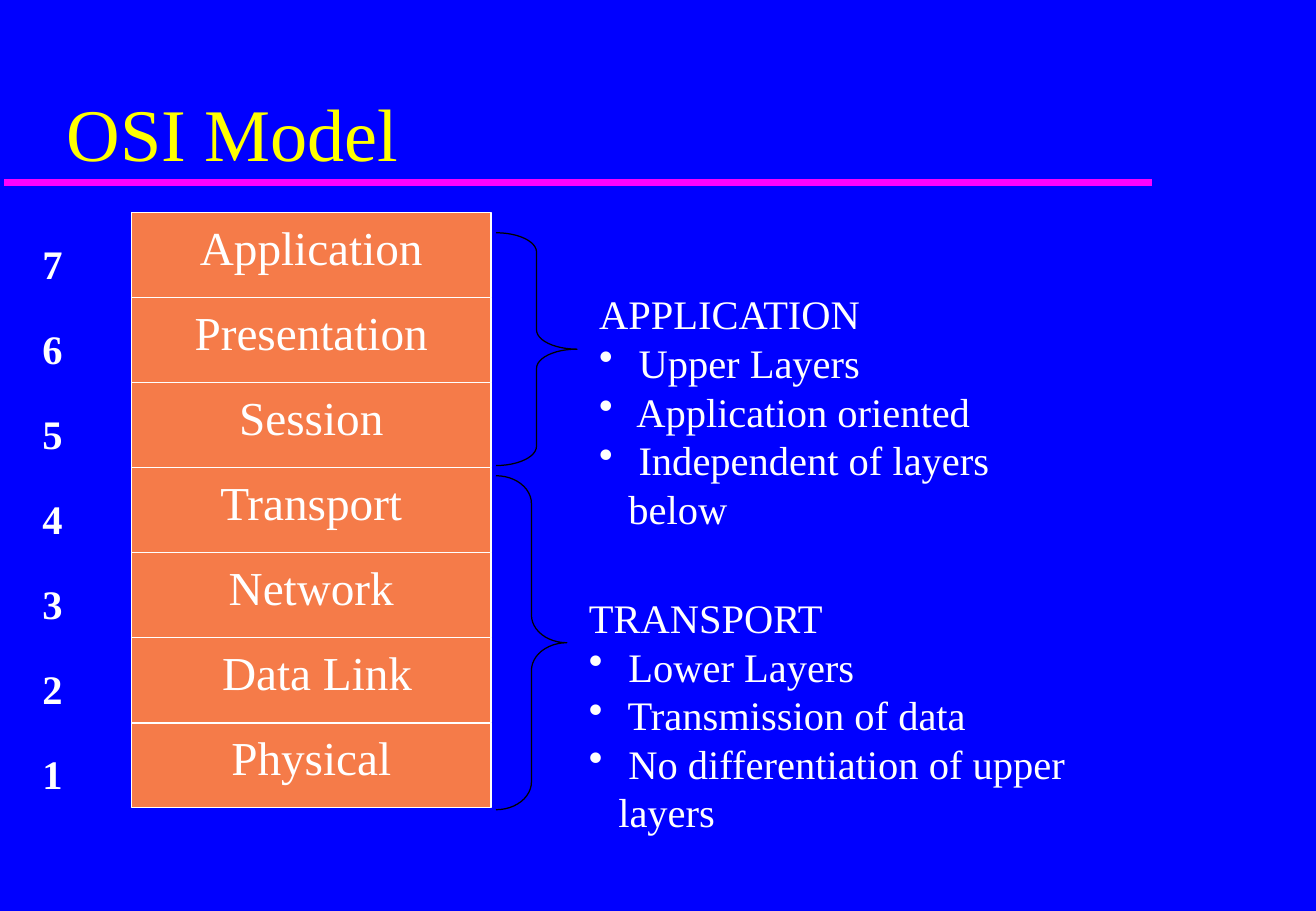
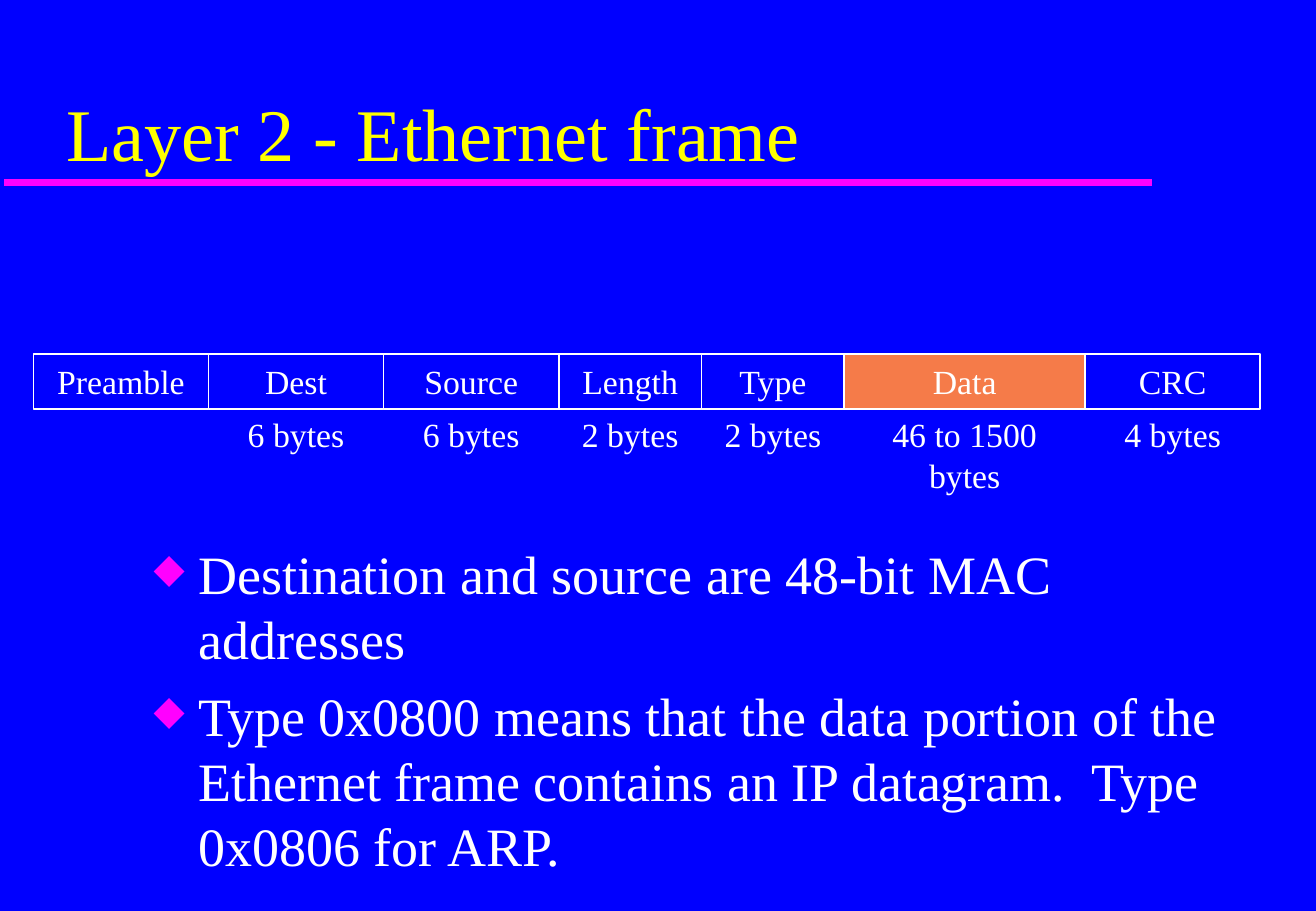
from dataclasses import dataclass
from itertools import accumulate

from lxml import etree
from pptx import Presentation, util as u
from pptx.dml.color import RGBColor
from pptx.enum import shapes, text
from pptx.oxml import ns

PX = 7620  # 120 px to the inch
FONT = "Times New Roman"
BLUE, WHITE, YELLOW = "0000FF", "FFFFFF", "FFFF00"
MAGENTA, ORANGE, BLACK = "FF00FF", "F57B49", "000000"
LEFT, CENTER = text.PP_ALIGN.LEFT, text.PP_ALIGN.CENTER


@dataclass(frozen=True)
class Box:
    left: int
    top: int
    width: int
    height: int

    def emu(self) -> list[int]:
        return [v * PX for v in (self.left, self.top, self.width, self.height)]


@dataclass(frozen=True)
class Style:
    size: int
    color: str = WHITE
    bold: bool = False
    align: text.PP_ALIGN = LEFT
    anchor: text.MSO_ANCHOR = text.MSO_ANCHOR.TOP


@dataclass(frozen=True)
class Bullet:
    char: str
    color: str
    percent: int
    indent: int
    before: float = 0


@dataclass(frozen=True)
class LayerGroup:
    brace: Box
    notes: Box
    heading: str
    points: tuple[str, ...]


@dataclass(frozen=True)
class Field:
    name: str
    width: int
    size: str = ""
    fill: str | None = None


TITLE = Style(44, YELLOW, anchor=text.MSO_ANCHOR.BOTTOM)
LAYER = Style(28, align=CENTER)
NUMBER = Style(24, bold=True)
NOTES = Style(24)
FIELD = Style(20, align=CENTER)
BODY = Style(32)

DOT = Bullet("•", WHITE, 100, 29)
DIAMOND = Bullet("◆", MAGENTA, 75, 44, 7.7)

LAYERS = ("Application", "Presentation", "Session", "Transport",
          "Network", " Data Link", "Physical")
LAYER_STEP = 84
GROUPS = (
    LayerGroup(Box(490, 230, 80, 230), Box(580, 280, 502, 204), "APPLICATION",
               (" Upper Layers", " Application oriented",
                " Independent of layers below")),
    LayerGroup(Box(490, 470, 70, 330), Box(570, 580, 586, 204), "TRANSPORT",
               (" Lower Layers", " Transmission of data",
                " No differentiation of upper layers")),
)
FIELDS = (
    Field("Preamble", 173),
    Field("Dest", 173, "6 bytes"),
    Field("Source", 173, "6 bytes"),
    Field("Length", 141, "2 bytes"),
    Field("Type", 141, "2 bytes"),
    Field("Data", 238, "46 to 1500 bytes", ORANGE),
    Field("CRC", 173, "4 bytes"),
)
FIELDS_LEFT = 33
FRAME_POINTS = (
    "Destination and source are 48-bit MAC addresses",
    "Type 0x0800 means that the data portion of the Ethernet frame contains "
    "an IP datagram.  Type 0x0806 for ARP.",
)


def rgb(color: str) -> RGBColor:
    return RGBColor.from_string(color)


def set_values(target, values: dict) -> None:
    for name, value in values.items():
        setattr(target, name, value)


def add_bullet(para, bullet: Bullet) -> None:
    para.space_before = u.Pt(bullet.before)
    props = para._p.get_or_add_pPr()
    props.set("marL", str(bullet.indent * PX))
    props.set("indent", str(-bullet.indent * PX))
    color = etree.SubElement(props, ns.qn("a:buClr"))
    etree.SubElement(color, ns.qn("a:srgbClr"), val=bullet.color)
    etree.SubElement(props, ns.qn("a:buSzPct"), val=str(bullet.percent * 1000))
    etree.SubElement(props, ns.qn("a:buChar"), char=bullet.char)


def write(shape, style: Style, lines: tuple[str, ...],
          bullet: Bullet | None = None, heading: str = "") -> None:
    """Fill a shape with an optional plain heading and the lines below it."""
    frame = shape.text_frame
    set_values(frame, {"word_wrap": True, "vertical_anchor": style.anchor})
    texts = ((heading,) if heading else ()) + lines
    for index, content in enumerate(texts):
        para = frame.add_paragraph() if index else frame.paragraphs[0]
        para.alignment = style.align
        if bullet and not (heading and index == 0):
            add_bullet(para, bullet)
        span = para.add_run()
        span.text = content
        set_values(span.font, {"name": FONT, "size": u.Pt(style.size),
                               "bold": style.bold})
        span.font.color.rgb = rgb(style.color)


def add_text(page, box: Box, style: Style, *lines: str,
             bullet: Bullet | None = None, heading: str = "") -> None:
    write(page.shapes.add_textbox(*box.emu()), style, lines, bullet, heading)


def add_outline(page, kind: shapes.MSO_SHAPE, box: Box, line: str,
                points: float, fill: str | None = None):
    shape = page.shapes.add_shape(kind, *box.emu())
    shape.shadow.inherit = False
    if fill:
        shape.fill.solid()
        shape.fill.fore_color.rgb = rgb(fill)
    else:
        shape.fill.background()
    shape.line.color.rgb = rgb(line)
    shape.line.width = u.Pt(points)
    return shape


def add_cell(page, box: Box, label: str, style: Style,
             fill: str | None) -> None:
    cell = add_outline(page, shapes.MSO_SHAPE.RECTANGLE, box, WHITE, 1, fill)
    write(cell, style, (label,))


def add_brace(page, box: Box) -> None:
    brace = add_outline(page, shapes.MSO_SHAPE.RIGHT_BRACE, box, BLACK, 0.75)
    brace.adjustments[0] = box.height / 12 / box.width


def add_page(deck, title: str):
    """Add a blank page with the shared rule and title."""
    page = deck.slides.add_slide(deck.slide_layouts[6])
    rule = page.shapes.add_connector(
        shapes.MSO_CONNECTOR.STRAIGHT, *(v * PX for v in (4, 180, 1138, 180)))
    rule.line.color.rgb = rgb(MAGENTA)
    rule.line.width = u.Pt(4)
    etree.SubElement(rule._element.spPr, ns.qn("a:effectLst"))
    add_text(page, Box(54, 35, 1104, 145), TITLE, title)
    return page


def build_osi_model(deck) -> None:
    page = add_page(deck, "OSI Model")
    for group in GROUPS:
        add_brace(page, group.brace)
        add_text(page, group.notes, NOTES, *group.points,
                 bullet=DOT, heading=group.heading)
    for index, layer in enumerate(LAYERS):
        offset = index * LAYER_STEP
        add_text(page, Box(30, 230 + offset, 60, 60), NUMBER,
                 str(len(LAYERS) - index))
        add_cell(page, Box(130, 210 + offset, 355, LAYER_STEP),
                 layer, LAYER, ORANGE)


def build_ethernet_frame(deck) -> None:
    page = add_page(deck, "Layer 2 - Ethernet frame")
    add_text(page, Box(140, 528, 1098, 372), BODY, *FRAME_POINTS,
             bullet=DIAMOND)
    lefts = accumulate((field.width for field in FIELDS), initial=FIELDS_LEFT)
    for field, left in zip(FIELDS, lefts):
        add_cell(page, Box(left, 350, field.width, 54), field.name, FIELD,
                 field.fill)
        if field.size:
            add_text(page, Box(left, 403, field.width, 53), FIELD, field.size)


def main() -> None:
    deck = Presentation()
    set_values(deck, {"slide_width": 1300 * PX, "slide_height": 900 * PX})
    background = deck.slide_master.background.fill
    background.solid()
    background.fore_color.rgb = rgb(BLUE)
    build_osi_model(deck)
    build_ethernet_frame(deck)
    deck.save("out.pptx")


if __name__ == "__main__":
    main()
